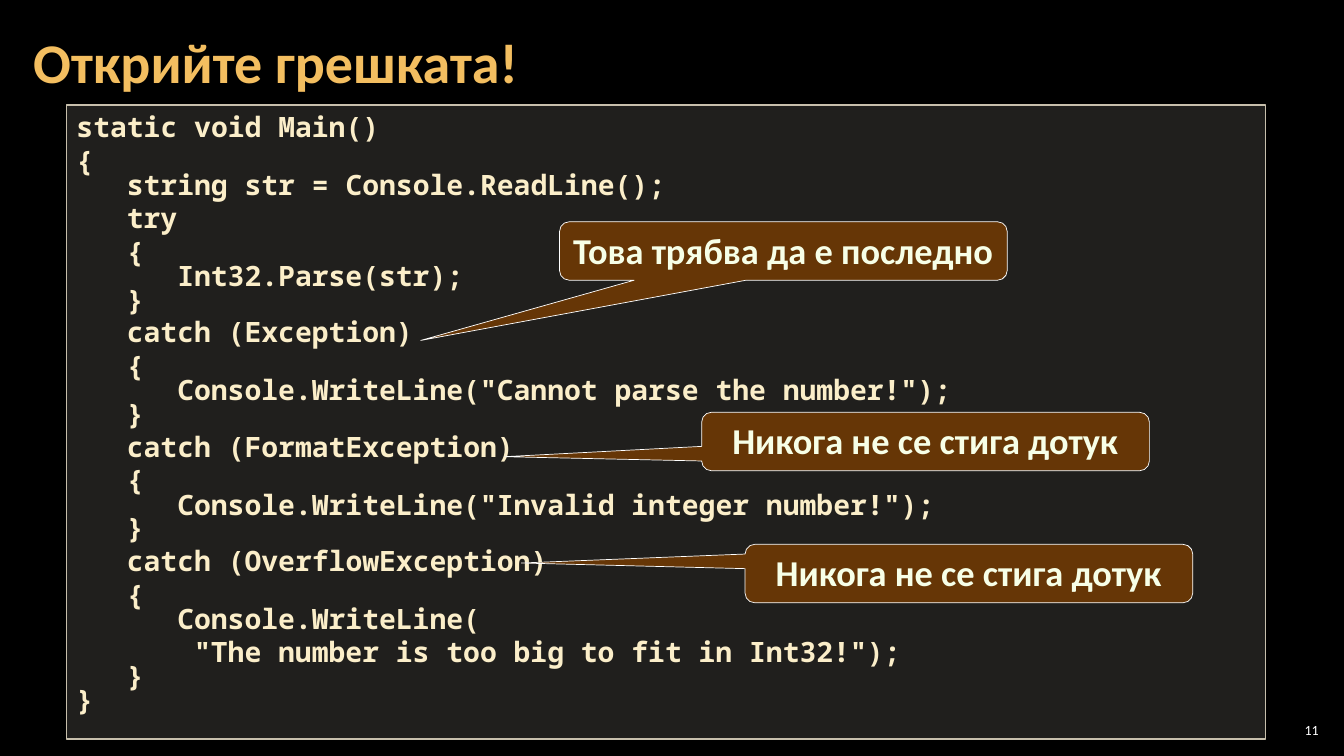
"""Build a slide on the wrong order of catch blocks in C#."""
from lxml import etree
from pptx import Presentation
from pptx.dml.color import RGBColor
from pptx.enum.shapes import MSO_SHAPE
from pptx.enum.text import MSO_ANCHOR, PP_ALIGN
from pptx.oxml.ns import qn
from pptx.util import Inches, Pt

RECTANGLE = MSO_SHAPE.RECTANGLE
CALLOUT = MSO_SHAPE.ROUNDED_RECTANGULAR_CALLOUT
TOP, MIDDLE = MSO_ANCHOR.TOP, MSO_ANCHOR.MIDDLE
LEFT, CENTER, RIGHT = PP_ALIGN.LEFT, PP_ALIGN.CENTER, PP_ALIGN.RIGHT

BLACK = RGBColor(0x00, 0x00, 0x00)
WHITE = RGBColor(0xFF, 0xFF, 0xFF)
GOLD = RGBColor(0xF3, 0xBE, 0x60)
CREAM = RGBColor(0xFB, 0xEE, 0xC9)
PANEL = RGBColor(0xD9, 0xD5, 0xC7)
PANEL_EDGE = RGBColor(0xC7, 0xBF, 0xAC)
BROWN = RGBColor(0x66, 0x36, 0x06)
PALE = RGBColor(0xF7, 0xFF, 0xE7)

INDENT = 0.5
CODE = [
    (0, "static void Main()", 1),
    (0, "{", 1),
    (1, "string str = Console.ReadLine();", 0.7),
    (1, "try", 1),
    (1, "{", 1),
    (2, "Int32.Parse(str);", 0.7),
    (1, "}", 0.7),
    (1, "catch (Exception)", 1),
    (1, "{", 1),
    (2, 'Console.WriteLine("Cannot parse the number!");', 0.7),
    (1, "}", 0.7),
    (1, "catch (FormatException)", 1),
    (1, "{", 1),
    (2, 'Console.WriteLine("Invalid integer number!");', 0.7),
    (1, "}", 0.7),
    (1, "catch (OverflowException)", 1),
    (1, "{", 1),
    (2, "Console.WriteLine(", 0.7),
    (7 / 3, '"The number is too big to fit in Int32!");', 1),
    (1, "}", 0.7),
    (0, "}", 0.7),
]
REMARKS = [
    (5.55, 2.2, -0.81, 1.53, "Това трябва да е последно"),
    (6.96, 4.09, -0.94, 0.26, "Никога не се стига дотук"),
    (7.39, 5.4, -1, -0.18, "Никога не се стига дотук"),
]


def set_frame(frame, anchor, side, edge):
    frame.word_wrap = True
    frame.vertical_anchor = anchor
    frame.margin_left = frame.margin_right = Inches(side)
    frame.margin_top = frame.margin_bottom = Inches(edge)


def write(paragraph, text, font, size, color, bold, align, spacing):
    paragraph.alignment = align
    paragraph.line_spacing = spacing
    run = paragraph.add_run()
    run.text = text
    run.font.name = font
    run.font.size = Pt(size)
    run.font.bold = bold
    run.font.color.rgb = color


prs = Presentation()
prs.slide_width = Inches(13.33)
prs.slide_height = Inches(7.5)
slide = prs.slides.add_slide(prs.slide_layouts[6])
slide.background.fill.solid()
slide.background.fill.fore_color.rgb = BLACK

number = slide.shapes.add_textbox(Inches(12.65), Inches(7.14), Inches(0.47), Inches(0.21)).text_frame
set_frame(number, MIDDLE, 0.04, 0.04)
write(number.paragraphs[0], "11", "Calibri", 10, WHITE, False, RIGHT, 1)

title = slide.shapes.add_textbox(Inches(0.21), Inches(0.04), Inches(10.47), Inches(1.21)).text_frame
set_frame(title, MIDDLE, 0.12, 0.04)
write(title.paragraphs[0], "Открийте грешката!", "Calibri", 40, GOLD, True, LEFT, 0.9)

panel = slide.shapes.add_shape(RECTANGLE, Inches(0.66), Inches(1.04), Inches(11.89), Inches(6.29))
panel.shadow.inherit = False
panel.fill.solid()
panel.fill.fore_color.rgb = PANEL
panel_color = panel.fill._xPr.find(qn("a:solidFill"))[0]
etree.SubElement(panel_color, qn("a:alpha")).set("val", "15000")
panel.line.color.rgb = PANEL_EDGE
panel.line.width = Pt(1)
listing = panel.text_frame
set_frame(listing, TOP, 0.1, 0.05)
for row, (level, code, spacing) in enumerate(CODE):
    line = listing.add_paragraph() if row else listing.paragraphs[0]
    line._p.get_or_add_pPr().set("marL", str(int(Inches(level * INDENT))))
    write(line, code, "Noto Sans Mono", 20, CREAM, True, LEFT, spacing)

for left, top, tip_x, tip_y, remark in REMARKS:
    callout = slide.shapes.add_shape(CALLOUT, Inches(left), Inches(top), Inches(4.44), Inches(0.58))
    callout.adjustments[0] = tip_x
    callout.adjustments[1] = tip_y
    callout.adjustments[2] = 0.167
    callout.shadow.inherit = False
    callout.fill.solid()
    callout.fill.fore_color.rgb = BROWN
    callout.line.color.rgb = WHITE
    callout.line.width = Pt(0.5)
    set_frame(callout.text_frame, TOP, 0.05, 0.05)
    write(callout.text_frame.paragraphs[0], remark, "Calibri", 26, PALE, True, CENTER, Pt(30))

prs.save("out.pptx")
